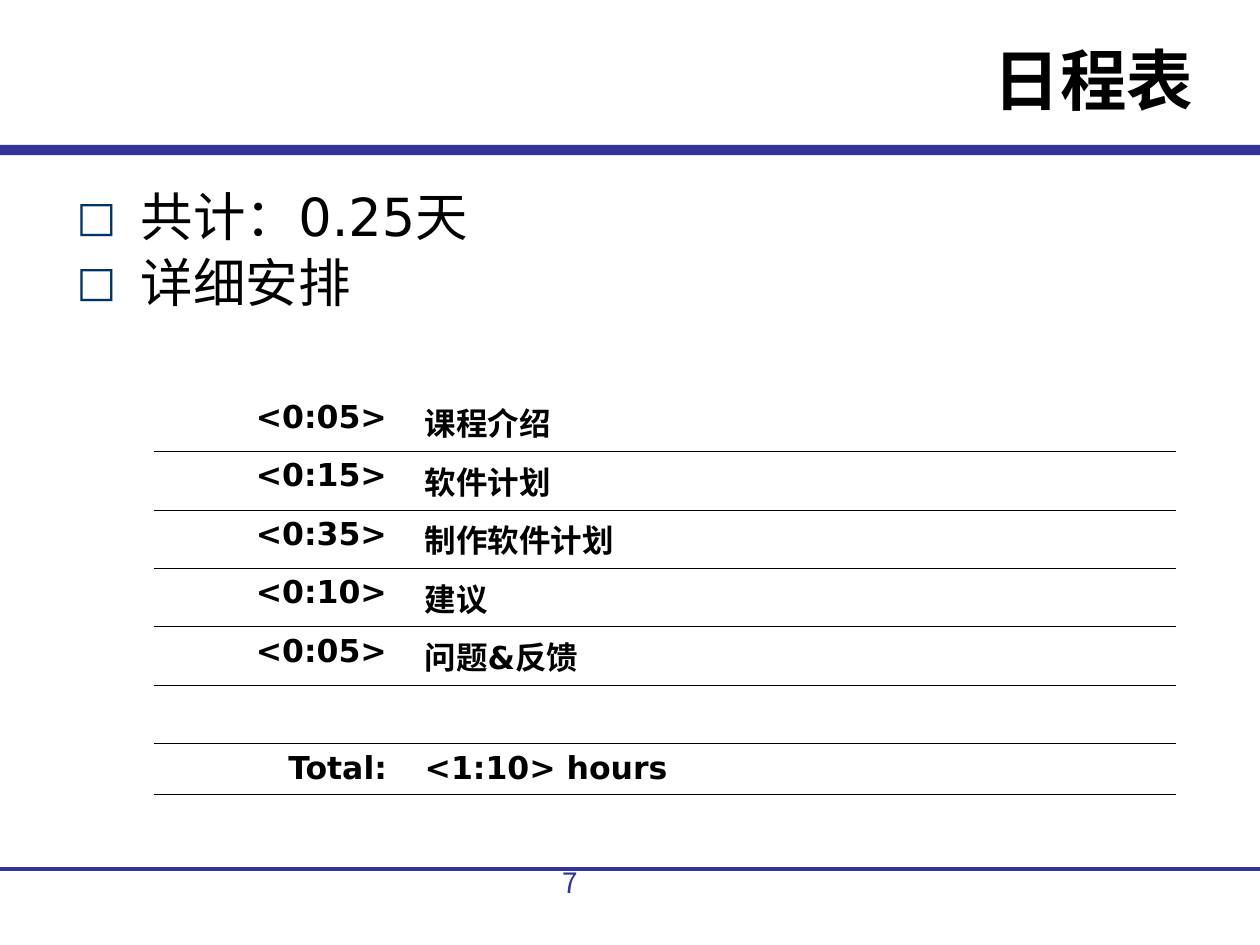
from lxml.etree import SubElement
from pptx import Presentation
from pptx.dml.color import RGBColor
from pptx.enum.shapes import MSO_CONNECTOR as Connector, MSO_SHAPE as Shape
from pptx.enum.text import MSO_ANCHOR as Anchor, PP_ALIGN as Align
from pptx.oxml.ns import qn
from pptx.util import Pt

TITLE = "日程表"
POINTS = ["共计：0.25天", "详细安排"]
SCHEDULE = [
    ("<0:05>", "课程介绍"),
    ("<0:15>", "软件计划"),
    ("<0:35>", "制作软件计划"),
    ("<0:10>", "建议"),
    ("<0:05>", "问题&反馈"),
    ("", ""),
    ("Total:", "<1:10> hours"),
]
PAGE_NUMBER = "7"

COLORS = {"text": "000000", "rule": "333399", "bullet": "003366"}
LATIN, CJK = "DejaVu Sans", "Noto Sans CJK SC"
WIDTH, HEIGHT = 720, 540
COLUMNS = (147.6, 436.3)
ROW_HEIGHT, TOTAL_HEIGHT = 33.4, 29.2
LINE_SPACING = 0.9
INDENT = 36.7


def rgb(name):
    return RGBColor.from_string(COLORS[name])


def style(paragraph, size, bold=False, color="text", latin=LATIN, align=Align.LEFT):
    paragraph.alignment = align
    for run in paragraph.runs:
        font = run.font
        font.size, font.bold, font.name = Pt(size), bold, latin
        font.color.rgb = rgb(color)
        SubElement(font._element, qn("a:ea"), typeface=CJK)


def add_text(slide, box, lines, size, **look):
    frame = slide.shapes.add_textbox(*map(Pt, box)).text_frame
    frame.word_wrap = True
    frame.vertical_anchor = Anchor.TOP
    frame.text = "\n".join(lines)
    for paragraph in frame.paragraphs:
        paragraph.line_spacing = LINE_SPACING
        style(paragraph, size, **look)
    return frame


def add_bullet(paragraph):
    props = paragraph._p.get_or_add_pPr()
    props.set("marL", str(Pt(INDENT)))
    props.set("indent", str(-Pt(INDENT)))
    SubElement(SubElement(props, qn("a:buClr")), qn("a:srgbClr"), val=COLORS["bullet"])
    SubElement(props, qn("a:buSzPct"), val="80000")
    SubElement(props, qn("a:buFont"), typeface=LATIN)
    SubElement(props, qn("a:buChar"), char="□")


def set_borders(cell, ruled_sides):
    props = cell._tc.get_or_add_tcPr()
    for side in "LRTB":
        line = SubElement(props, qn(f"a:ln{side}"), w=str(Pt(0.45)))
        if side in ruled_sides:
            fill = SubElement(line, qn("a:solidFill"))
            SubElement(fill, qn("a:srgbClr"), val=COLORS["text"])
        else:
            SubElement(line, qn("a:noFill"))


def add_rules(slide):
    bar = slide.shapes.add_shape(Shape.RECTANGLE, 0, Pt(82.8), Pt(WIDTH), Pt(5.8))
    bar.shadow.inherit = False
    bar.fill.solid()
    bar.fill.fore_color.rgb = rgb("rule")
    bar.line.fill.background()

    y = Pt(496.8)
    footer = slide.shapes.add_connector(Connector.STRAIGHT, 0, y, Pt(WIDTH), y)
    footer.line.color.rgb = rgb("rule")
    footer.line.width = Pt(2.25)
    SubElement(footer._element.spPr, qn("a:effectLst"))


def add_schedule(slide):
    heights = [ROW_HEIGHT] * (len(SCHEDULE) - 1) + [TOTAL_HEIGHT]
    table = slide.shapes.add_table(
        len(SCHEDULE), len(COLUMNS), Pt(87.9), Pt(224.6), Pt(sum(COLUMNS)), Pt(sum(heights))
    ).table
    table.first_row = table.horz_banding = False
    for column, width in zip(table.columns, COLUMNS):
        column.width = Pt(width)
    for r, (entry, height) in enumerate(zip(SCHEDULE, heights)):
        table.rows[r].height = Pt(height)
        for c, (text, align) in enumerate(zip(entry, (Align.RIGHT, Align.LEFT))):
            cell = table.cell(r, c)
            cell.margin_left, cell.margin_right = Pt(7.2), Pt(14.4)
            cell.margin_top = cell.margin_bottom = Pt(3.6)
            cell.vertical_anchor = Anchor.TOP
            set_borders(cell, "TB" if r else "B")
            cell.fill.background()
            cell.text_frame.text = text
            style(cell.text_frame.paragraphs[0], 18, bold=True, align=align)


def main():
    deck = Presentation()
    deck.slide_width, deck.slide_height = Pt(WIDTH), Pt(HEIGHT)
    slide = deck.slides.add_slide(deck.slide_layouts[6])

    add_rules(slide)
    points = add_text(slide, (36.7, 105.8, 630, 110), POINTS, 30)
    for i, paragraph in enumerate(points.paragraphs):
        if i:
            paragraph.space_before = Pt(5)
        add_bullet(paragraph)
    add_schedule(slide)
    add_text(slide, (130.3, 23.8, 558.7, 64.8), [TITLE], 38, bold=True, align=Align.RIGHT)
    add_text(slide, (314.6, 493.2, 79.2, 37.4), [PAGE_NUMBER], 16, color="rule", latin=CJK)

    deck.save("out.pptx")


if __name__ == "__main__":
    main()
